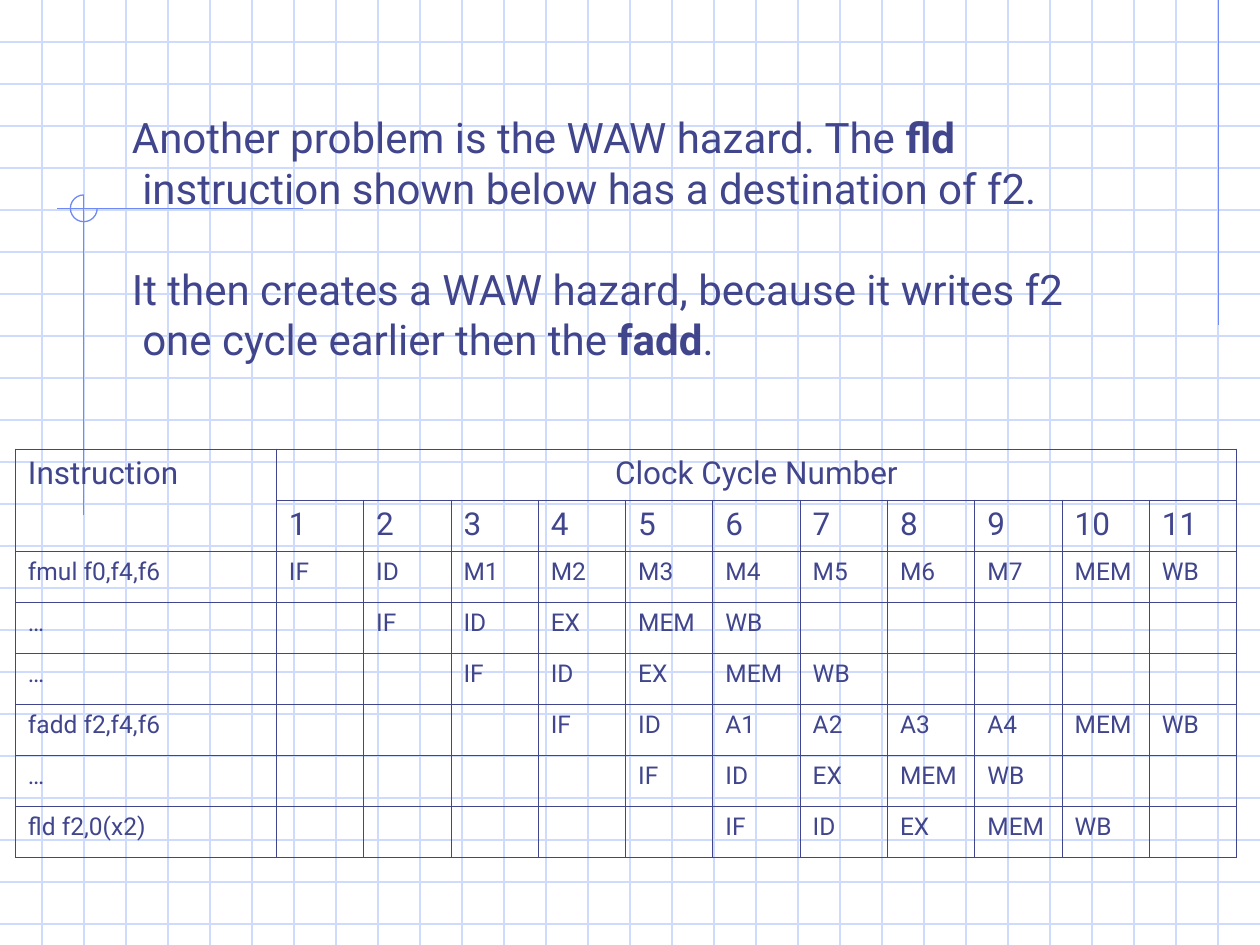
from lxml import etree
from pptx import Presentation
from pptx import util as u
from pptx.dml.color import RGBColor
from pptx.enum import shapes, text
from pptx.oxml.ns import qn

INK = RGBColor(0x40, 0x45, 0x8C)
GRID = RGBColor(0xCF, 0xDB, 0xFD)
ACCENT = RGBColor(0x6F, 0x89, 0xF7)
FONT = "Roboto"
WIDTH, HEIGHT = 25.4, 19.05
GRID_STEP = 2.54 / 3
CYCLES = 11

# Instruction, first cycle, pipeline stages
PIPELINE = [
    ("fmul f0,f4,f6", 1, "IF ID M1 M2 M3 M4 M5 M6 M7 MEM WB"),
    ("…", 2, "IF ID EX MEM WB"),
    ("…", 3, "IF ID EX MEM WB"),
    ("fadd f2,f4,f6", 4, "IF ID A1 A2 A3 A4 MEM WB"),
    ("…", 5, "IF ID EX MEM WB"),
    ("fld f2,0(x2)", 6, "IF ID EX MEM WB"),
]


def add_text(p, content, size, bold=False, align=text.PP_ALIGN.LEFT):
    p.alignment = align
    r = p.add_run()
    r.text = content
    f = r.font
    f.name, f.size, f.bold = FONT, u.Pt(size), bold
    f.color.rgb = INK


def add_line(s, x1, y1, x2, y2, color):
    line = s.shapes.add_connector(shapes.MSO_CONNECTOR.STRAIGHT,
                                  u.Cm(x1), u.Cm(y1), u.Cm(x2), u.Cm(y2))
    line.line.color.rgb = color
    line.line.width = u.Pt(0.75)
    etree.SubElement(line._element.spPr, qn("a:effectLst"))


def add_grid(s):
    for i in range(1, 23):
        add_line(s, 0, i * GRID_STEP, WIDTH, i * GRID_STEP, GRID)
    for i in range(1, 30):
        add_line(s, i * GRID_STEP, 0, i * GRID_STEP, HEIGHT, GRID)


def add_crosshair(s):
    add_line(s, 24.56, 0, 24.56, 6.55, ACCENT)
    add_line(s, 6.1, 4.21, 1.14, 4.21, ACCENT)
    add_line(s, 1.69, 3.93, 1.69, 10.39, ACCENT)
    # Three-quarter circle, open at the upper right
    sp = s.shapes.add_shape(shapes.MSO_SHAPE.ARC, u.Cm(1.42), u.Cm(3.93),
                            u.Cm(0.54), u.Cm(0.54))
    sp.adjustments[0] = 0
    sp.adjustments[1] = 270 * 0.6
    sp.shadow.inherit = False
    sp.fill.background()
    sp.line.color.rgb = ACCENT
    sp.line.width = u.Pt(0.75)


def add_explanation(s):
    sp = s.shapes.add_textbox(u.Cm(2.41), u.Cm(2.13), u.Cm(20.6), u.Cm(5.33))
    tf = sp.text_frame
    tf.word_wrap = True
    first, second = tf.paragraphs[0], tf.add_paragraph()
    for p in (first, second):
        # Hanging indent for the second line
        p._p.get_or_add_pPr().set("marL", str(u.Cm(0.21)))
        p._p.get_or_add_pPr().set("indent", str(-u.Cm(0.21)))
    second.space_before = u.Pt(29)

    add_text(first, "Another problem is the WAW hazard. The ", 24)
    add_text(first, "fld", 24, bold=True)
    first.add_line_break()
    add_text(first, "instruction shown below has a destination of f2.", 24)

    add_text(second, "It then creates a WAW hazard, because it writes f2", 24)
    second.add_line_break()
    add_text(second, "one cycle earlier then the ", 24)
    add_text(second, "fadd", 24, bold=True)
    add_text(second, ".", 24)


def set_borders(cell):
    tc_pr = cell._tc.get_or_add_tcPr()
    for i, side in enumerate(("lnL", "lnR", "lnT", "lnB")):
        ln = etree.Element(qn("a:" + side), w=str(u.Pt(0.45)))
        fill = etree.SubElement(ln, qn("a:solidFill"))
        etree.SubElement(fill, qn("a:srgbClr"), val=str(INK))
        tc_pr.insert(i, ln)


def add_pipeline_table(s):
    rows = len(PIPELINE) + 2
    frame = s.shapes.add_table(rows, CYCLES + 1, u.Cm(0.31), u.Cm(9.05),
                               u.Cm(24.61), u.Cm(8.24))
    table = frame.table
    table.first_row = table.horz_banding = False
    for row in table.rows:
        row.height = u.Cm(1.03)
    for i, col in enumerate(table.columns):
        col.width = u.Cm(1.76 if i else 5.26)
    for cell in table.iter_cells():
        cell.fill.background()
        cell.margin_bottom = 0
        set_borders(cell)

    def write(row, col, content, size, **fmt):
        add_text(table.cell(row, col).text_frame.paragraphs[0], content, size, **fmt)

    # Header rows
    table.cell(0, 0).merge(table.cell(1, 0))
    table.cell(0, 1).merge(table.cell(0, CYCLES))
    write(0, 0, "Instruction", 18)
    write(0, 1, "Clock Cycle Number", 18, align=text.PP_ALIGN.CENTER)
    for cycle in range(1, CYCLES + 1):
        write(1, cycle, str(cycle), 18)

    # One row per instruction, one stage per cycle
    for row, (name, start, stages) in enumerate(PIPELINE, 2):
        write(row, 0, name, 14)
        for cycle, stage in enumerate(stages.split(), start):
            write(row, cycle, stage, 14)


def main():
    prs = Presentation()
    prs.slide_width, prs.slide_height = u.Cm(WIDTH), u.Cm(HEIGHT)
    s = prs.slides.add_slide(prs.slide_layouts[6])
    add_grid(s)
    add_crosshair(s)
    add_explanation(s)
    add_pipeline_table(s)
    prs.save("out.pptx")


if __name__ == "__main__":
    main()
